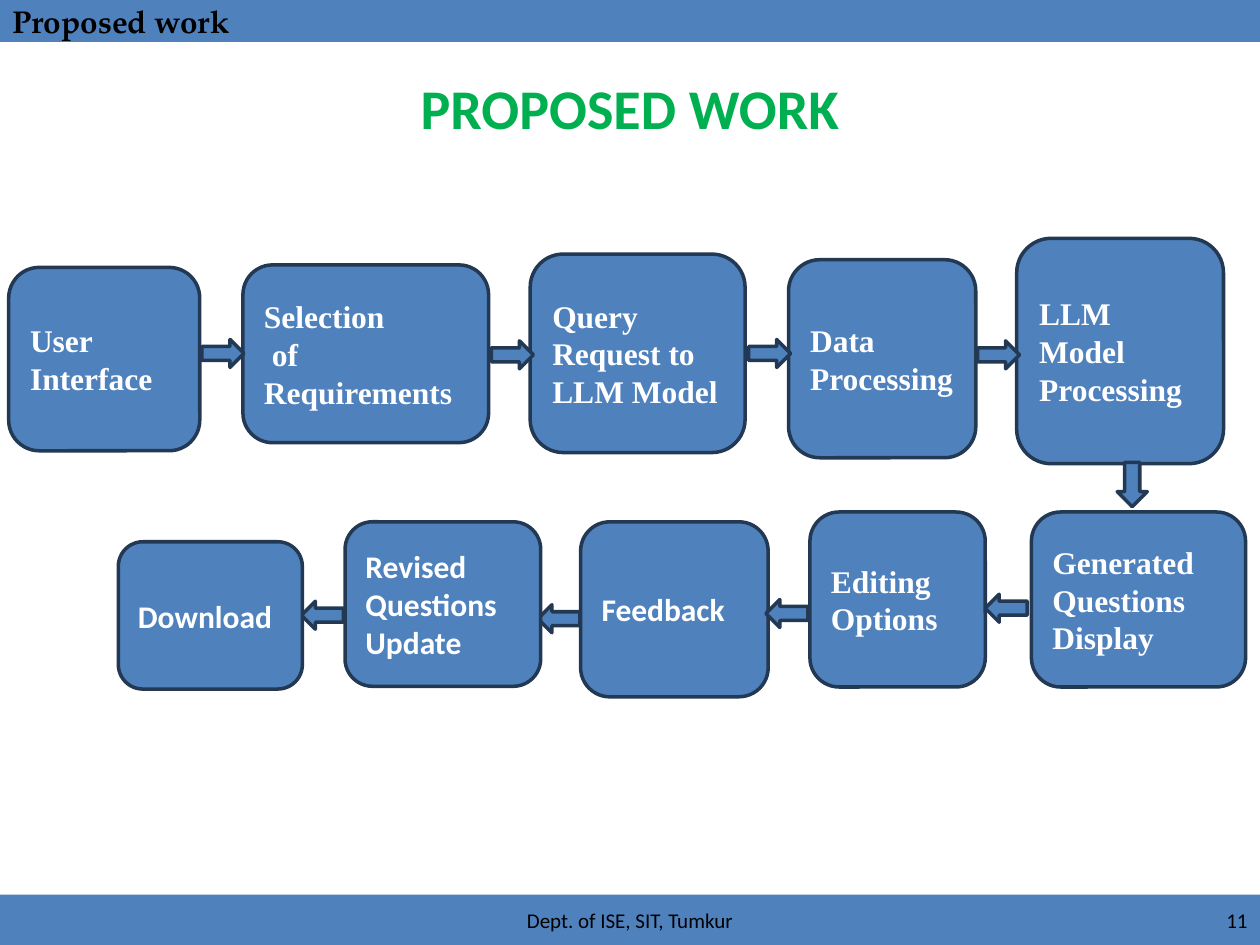
from pptx import Presentation
from pptx.dml.color import RGBColor
from pptx.enum.shapes import MSO_SHAPE as Preset
from pptx.enum.text import MSO_ANCHOR as Anchor, PP_ALIGN as Align
from pptx.util import Pt

WIDTH, HEIGHT = 720, 540
SERIF, SANS, HEADING = "Times New Roman", "Calibri", "TeX Gyre Pagella"


def color(value):
    return RGBColor.from_string(value)


class FlowSlide:
    fill, outline = "4F81BD", "233953"
    node_text = {"size": Pt(18), "bold": True}
    small_text = {"size": Pt(12), "name": SANS}

    def __init__(self, presentation):
        self.slide = presentation.slides.add_slide(presentation.slide_layouts[6])

    def set_text(self, shape, text, font, ink, align=Align.LEFT):
        frame = shape.text_frame
        frame.word_wrap = True
        frame.vertical_anchor = Anchor.MIDDLE
        frame.text = text
        for paragraph in frame.paragraphs:
            paragraph.alignment = align
            for run in paragraph.runs:
                for key, value in font.items():
                    setattr(run.font, key, value)
                run.font.color.rgb = color(ink)

    def block(self, preset, box, outlined=True):
        shape = self.slide.shapes.add_shape(preset, *map(Pt, box))
        shape.shadow.inherit = False
        shape.fill.solid()
        shape.fill.fore_color.rgb = color(self.fill)
        if outlined:
            shape.line.color.rgb = color(self.outline)
            shape.line.width = Pt(2)
        else:
            shape.line.fill.background()
        return shape

    def band(self, top, height, text, font, align=Align.LEFT):
        shape = self.block(Preset.RECTANGLE, (0, top, WIDTH, height), False)
        self.set_text(shape, text, font, "000000", align)

    def label(self, box, text, font, ink, align):
        shape = self.slide.shapes.add_textbox(*map(Pt, box))
        self.set_text(shape, text, font, ink, align)

    def node(self, text, font_name, *box):
        shape = self.block(Preset.ROUNDED_RECTANGLE, box)
        self.set_text(shape, text, {**self.node_text, "name": font_name}, "FFFFFF")

    def arrow(self, preset, left, top, width=24, height=16):
        self.block(preset, (left, top, width, height))


STEPS = [
    ("User Interface", SERIF, 5, 152.8, 109.2, 104.8),
    ("Selection\n of Requirements", SERIF, 138.8, 151.4, 140.4, 101.6),
    ("Query Request to LLM Model", SERIF, 303, 145.2, 122.8, 113.4),
    ("Data Processing", SERIF, 450.6, 148.4, 107, 113.2),
    ("LLM Model Processing", SERIF, 581, 136.2, 118.2, 128.8),
    ("Generated Questions Display", SERIF, 589.4, 292.6, 122.4, 100),
    ("Editing Options", SERIF, 462.8, 292.6, 100.2, 100),
    ("Feedback", SANS, 331.8, 298.2, 107.2, 100),
]
# These two cover the tips of the arrows beside them
LAST_STEPS = [
    ("Revised Questions Update", SANS, 197.2, 298.2, 111.8, 94),
    ("Download", SANS, 67.6, 309.6, 105.2, 84.2),
]
RIGHT_ARROWS = [(115.4, 194), (280.8, 194.8), (427.8, 194), (558.6, 194.8)]
LEFT_ARROWS = [(563, 339.6), (437.6, 342.6), (307.4, 345.6), (172.2, 343.6)]


def main():
    presentation = Presentation()
    presentation.slide_width, presentation.slide_height = Pt(WIDTH), Pt(HEIGHT)
    flow = FlowSlide(presentation)

    # Header, footer, page number and title
    flow.band(0, 24, "Proposed work", {"size": Pt(18), "bold": True, "name": HEADING})
    flow.band(511.2, 28.8, "Dept. of ISE, SIT, Tumkur", flow.small_text, Align.CENTER)
    flow.label((552, 511.2, 168, 28.8), "11", flow.small_text, "000000", Align.RIGHT)
    flow.label((36, 36, 648, 50.4), "PROPOSED WORK",
               {"size": Pt(32), "bold": True, "name": SANS}, "00B050", Align.CENTER)

    # Steps of the flow and the arrows between them
    for step in STEPS:
        flow.node(*step)
    for place in RIGHT_ARROWS:
        flow.arrow(Preset.RIGHT_ARROW, *place)
    flow.arrow(Preset.DOWN_ARROW, 638.4, 264.2, 17.2, 25.4)
    for place in LEFT_ARROWS:
        flow.arrow(Preset.LEFT_ARROW, *place)
    for step in LAST_STEPS:
        flow.node(*step)

    presentation.save("out.pptx")


if __name__ == "__main__":
    main()
